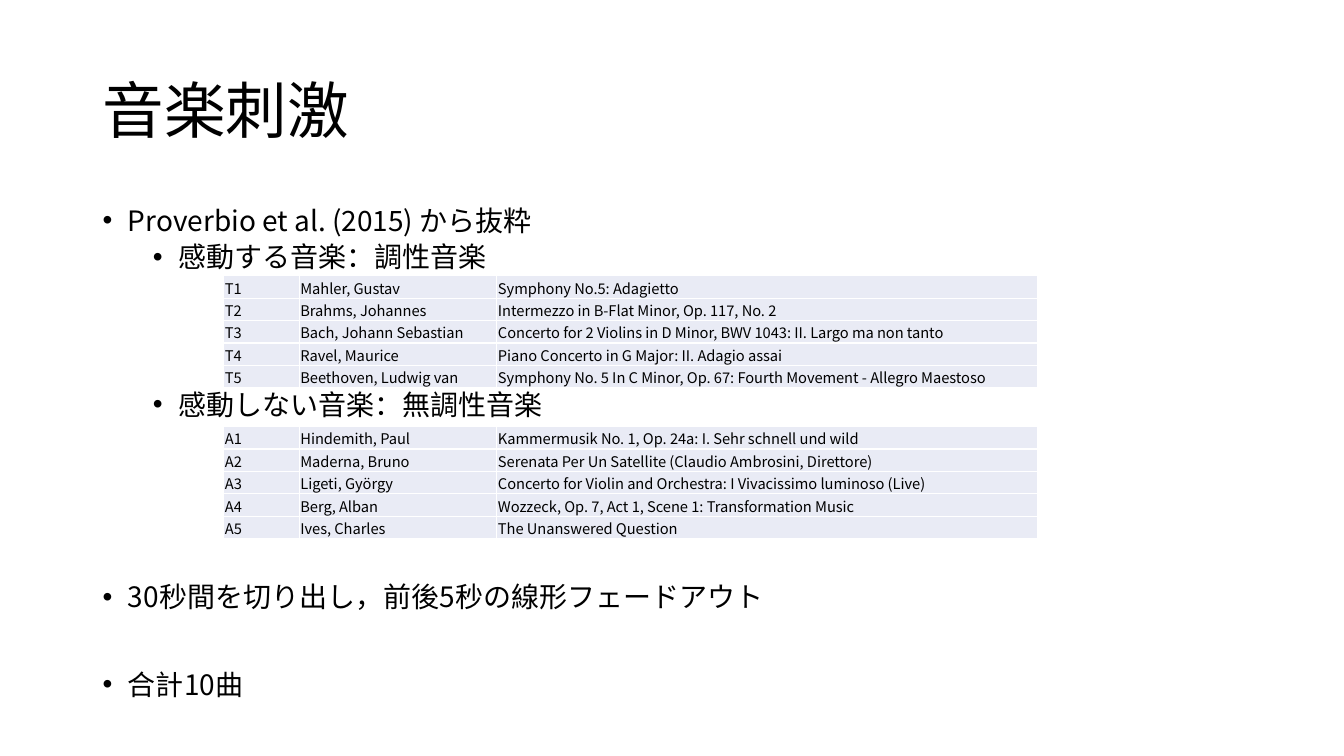
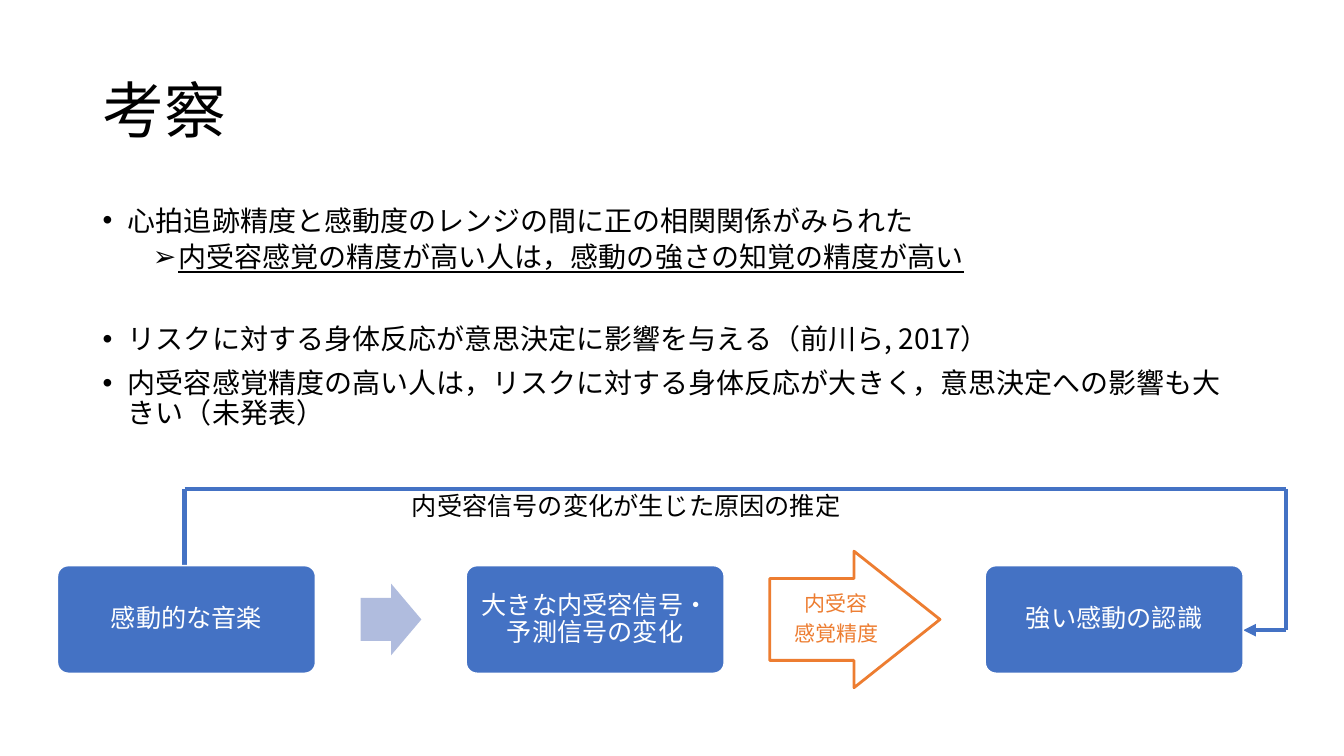
import dataclasses
import itertools

import lxml.etree
import pptx
import pptx.dml.color
import pptx.enum.shapes
import pptx.enum.text
import pptx.oxml.ns
import pptx.util

Cm = pptx.util.Cm
Pt = pptx.util.Pt
Shape = pptx.enum.shapes.MSO_SHAPE
Align = pptx.enum.text.PP_ALIGN
Anchor = pptx.enum.text.MSO_ANCHOR


@dataclasses.dataclass(frozen=True)
class Theme:
    font: str = "Noto Sans CJK JP"
    black: str = "000000"
    white: str = "FFFFFF"
    blue: str = "4472C4"
    pale: str = "B0BCDE"
    orange: str = "ED7D31"
    band: str = "E9EBF5"
    title: float = 44
    body: float = 20
    label: float = 18
    note: float = 15
    cell: float = 10.5
    lead: float = 1.07


THEME = Theme()

TONAL = [
    ("T1", "Mahler, Gustav", "Symphony No.5: Adagietto"),
    ("T2", "Brahms, Johannes", "Intermezzo in B-Flat Minor, Op. 117, No. 2"),
    ("T3", "Bach, Johann Sebastian",
     "Concerto for 2 Violins in D Minor, BWV 1043: II. Largo ma non tanto"),
    ("T4", "Ravel, Maurice", "Piano Concerto in G Major: II. Adagio assai"),
    ("T5", "Beethoven, Ludwig van",
     "Symphony No. 5 In C Minor, Op. 67: Fourth Movement - Allegro Maestoso"),
]
ATONAL = [
    ("A1", "Hindemith, Paul", "Kammermusik No. 1, Op. 24a: I. Sehr schnell und wild"),
    ("A2", "Maderna, Bruno", "Serenata Per Un Satellite (Claudio Ambrosini, Direttore)"),
    ("A3", "Ligeti, György", "Concerto for Violin and Orchestra: I Vivacissimo luminoso (Live)"),
    ("A4", "Berg, Alban", "Wozzeck, Op. 7, Act 1, Scene 1: Transformation Music"),
    ("A5", "Ives, Charles", "The Unanswered Question"),
]
STIMULI = [
    dict(words="Proverbio et al. (2015) から抜粋"),
    dict(words="感動する音楽：調性音楽", level=1, before=5),
    dict(words="感動しない音楽：無調性音楽", level=1, before=84),
    dict(words="30秒間を切り出し，前後5秒の線形フェードアウト", before=116),
    dict(words="合計10曲", before=41),
]
FINDINGS = [
    dict(words="心拍追跡精度と感動度のレンジの間に正の相関関係がみられた"),
    dict(words="内受容感覚の精度が高い人は，感動の強さの知覚の精度が高い",
         level=1, before=5, mark="➢", under=True),
    dict(words="リスクに対する身体反応が意思決定に影響を与える（前川ら, 2017）", before=37),
    dict(words="内受容感覚精度の高い人は，リスクに対する身体反応が大きく，"
               "意思決定への影響も大きい（未発表）", before=10),
]


def rgb(code):
    return pptx.dml.color.RGBColor.from_string(code)


def child(parent, tag, **attrs):
    return lxml.etree.SubElement(parent, pptx.oxml.ns.qn(tag), **attrs)


def write(para, words, *, size, color=THEME.black, align=Align.LEFT,
          line=None, before=0, after=0, under=False):
    para.alignment = align
    para.line_spacing = line
    para.space_before = Pt(before)
    para.space_after = Pt(after)
    run = para.add_run()
    run.text = words
    font = run.font
    font.name = THEME.font
    font.size = Pt(size)
    font.color.rgb = rgb(color)
    font.underline = under
    child(run._r.get_or_add_rPr(), "a:ea", typeface=THEME.font)


def tight(size):
    return Pt(size * THEME.lead)


def place(shape, left, top, width, height):
    shape.left, shape.top = Cm(left), Cm(top)
    shape.width, shape.height = Cm(width), Cm(height)


def bullet(para, mark, level):
    para.level = level
    props = para._p.get_or_add_pPr()
    props.set("marL", str(Cm(0.64 + 1.27 * level)))
    props.set("indent", str(-Cm(0.64)))
    child(props, "a:buFont", typeface="Arial")
    child(props, "a:buChar", char=mark)


def add_page(deck, title, items, height):
    page = deck.slides.add_slide(deck.slide_layouts[1])
    head, body = page.placeholders
    place(head, 2.33, 1.02, 29.21, 3.68)
    place(body, 2.33, 5.08, 29.21, height)
    for holder, anchor in ((head, Anchor.MIDDLE), (body, Anchor.TOP)):
        frame = holder.text_frame
        frame.auto_size = pptx.enum.text.MSO_AUTO_SIZE.NONE
        frame.vertical_anchor = anchor
    write(head.text_frame.paragraphs[0], title, size=THEME.title, line=0.9)
    for item, para in zip(items, lines(body.text_frame)):
        bullet(para, item.get("mark", "•"), item.get("level", 0))
        write(para, item["words"], size=THEME.body, line=tight(THEME.body),
              before=item.get("before", 0), under=item.get("under", False))
    return page


def lines(frame):
    yield frame.paragraphs[0]
    while True:
        yield frame.add_paragraph()


def add_works(page, top, works):
    widths, row = (1.9, 4.98, 13.62), 0.56
    table = page.shapes.add_table(
        len(works), len(widths), Cm(5.64), Cm(top),
        Cm(sum(widths)), Cm(row * len(works))).table
    table.first_row = table.horz_banding = False
    for column, width in zip(table.columns, widths):
        column.width = Cm(width)
    for line, work in zip(table.rows, works):
        line.height = Cm(row)
        for cell, words in zip(line.cells, work):
            cell.fill.solid()
            cell.fill.fore_color.rgb = rgb(THEME.band)
            cell.vertical_anchor = Anchor.MIDDLE
            cell.margin_left = cell.margin_right = cell.margin_top = Cm(0.03)
            cell.margin_bottom = 0
            write(cell.text_frame.paragraphs[0], words, size=THEME.cell)


def add_block(page, kind, left, width, height, *, fill=None, edge=None,
              weight=1, adjust=(), words=(), size=THEME.label,
              color=THEME.white, inset=(0.2, 0.2), after=0):
    middle = 15.61
    shape = page.shapes.add_shape(
        kind, Cm(left), Cm(middle - height / 2), Cm(width), Cm(height))
    shape.shadow.inherit = False
    for spot, value in enumerate(adjust):
        shape.adjustments[spot] = value
    if fill:
        shape.fill.solid()
        shape.fill.fore_color.rgb = rgb(fill)
    else:
        shape.fill.background()
    if edge:
        shape.line.color.rgb = rgb(edge)
        shape.line.width = Pt(weight)
    else:
        shape.line.fill.background()
    frame = shape.text_frame
    frame.word_wrap = True
    frame.vertical_anchor = Anchor.MIDDLE
    frame.margin_left, frame.margin_right = map(Cm, inset)
    frame.margin_top = frame.margin_bottom = 0
    for part, para in zip(words, lines(frame)):
        last = part == words[-1]
        write(para, part, size=size, color=color, align=Align.CENTER,
              line=tight(size), after=0 if last else after)


def add_loop(page, points):
    for start, end in itertools.pairwise(points):
        link = page.shapes.add_connector(
            pptx.enum.shapes.MSO_CONNECTOR.STRAIGHT, *map(Cm, start + end))
        link.line.color.rgb = rgb(THEME.blue)
        link.line.width = Pt(3)
        props = link._element.spPr
        if end == points[-1]:
            child(link.line._get_or_add_ln(), "a:tailEnd", type="triangle")
        child(props, "a:effectLst")


def add_label(page, words, left, top, width, height):
    frame = page.shapes.add_textbox(
        Cm(left), Cm(top), Cm(width), Cm(height)).text_frame
    frame.word_wrap = False
    write(frame.paragraphs[0], words, size=THEME.label)


def add_model(page):
    add_loop(page, [(4.65, 14.33), (4.65, 12.32), (32.41, 12.32),
                    (32.41, 15.88), (31.33, 15.88)])
    steps = ((1.45, "感動的な音楽"),
             (11.75, "大きな内受容信号・予測信号の変化"),
             (24.83, "強い感動の認識"))
    for left, words in steps:
        add_block(page, Shape.ROUNDED_RECTANGLE, left, 6.5, 2.71,
                  fill=THEME.blue, edge=THEME.white, adjust=(0.1,), words=(words,))
    add_block(page, Shape.RIGHT_ARROW, 9.09, 1.53, 1.81,
              fill=THEME.pale, adjust=(0.6, 0.5))
    add_block(page, Shape.RIGHT_ARROW, 19.4, 4.29, 3.44, edge=THEME.orange,
              weight=2, adjust=(0.6, 0.63), words=("内受容", "感覚精度"),
              size=THEME.note, color=THEME.orange, inset=(0.36, 0), after=5.25)
    add_label(page, "内受容信号の変化が生じた原因の推定", 10.13, 12.24, 11.4, 1.02)


def main():
    deck = pptx.Presentation()
    deck.slide_width, deck.slide_height = Cm(33.87), Cm(19.05)
    music = add_page(deck, "音楽刺激", STIMULI, 12.88)
    add_works(music, 6.95, TONAL)
    add_works(music, 10.75, ATONAL)
    add_model(add_page(deck, "考察", FINDINGS, 12.09))
    deck.save("out.pptx")


if __name__ == "__main__":
    main()
